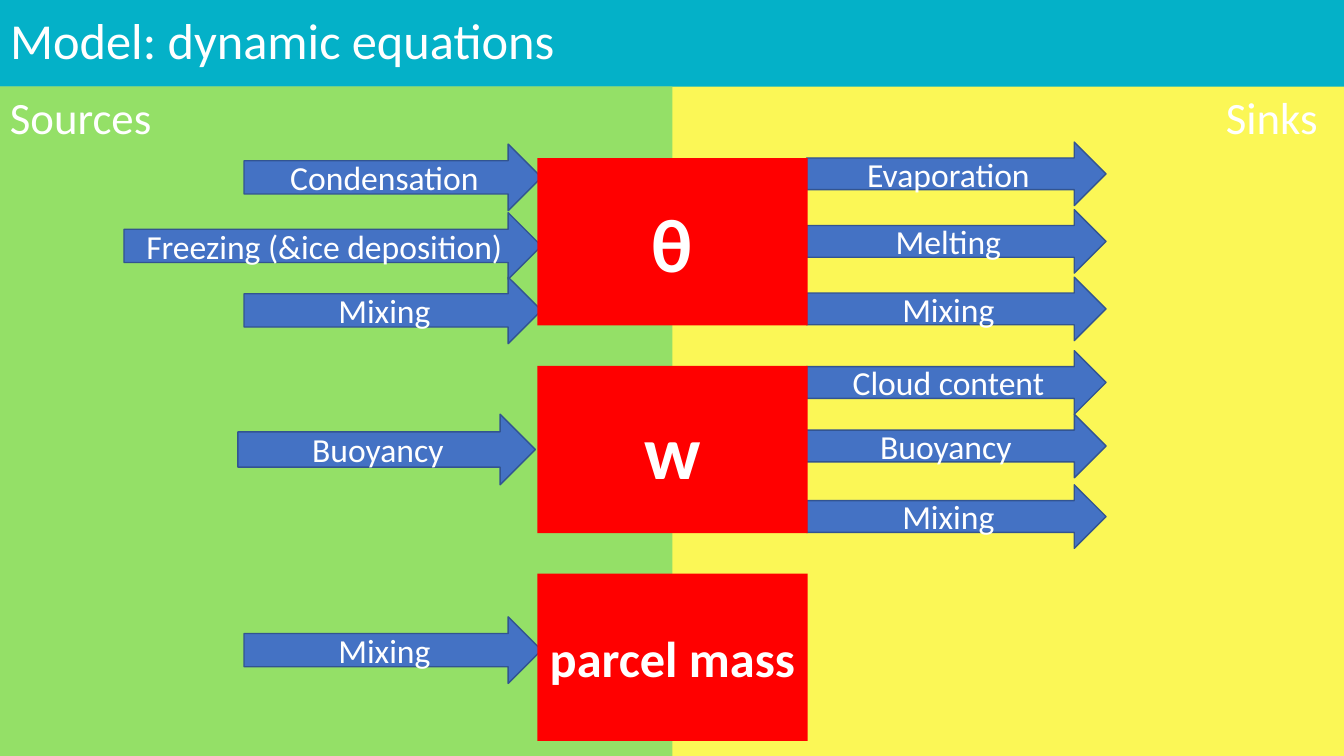
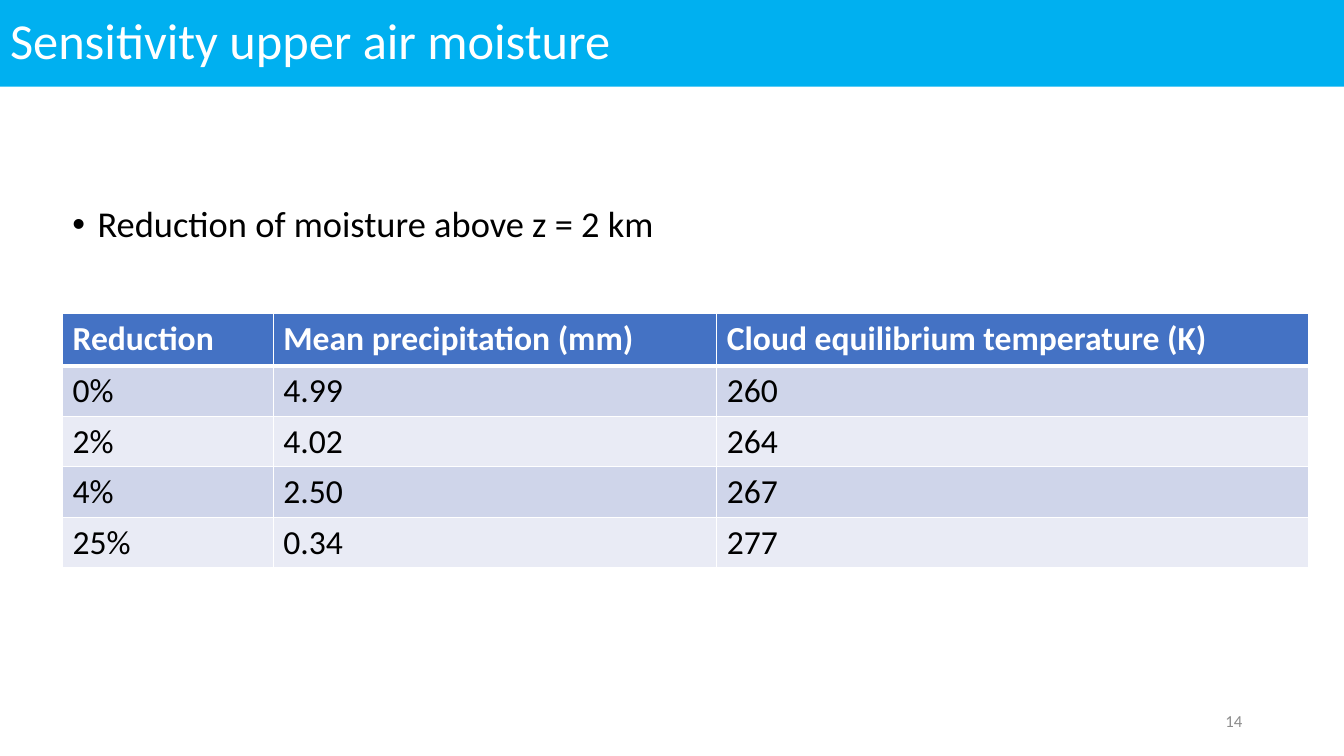
from dataclasses import dataclass

from lxml.etree import SubElement as Sub
from pptx import Presentation
from pptx.dml.color import RGBColor as Rgb
from pptx.enum.shapes import MSO_SHAPE as Form
from pptx.enum.text import MSO_ANCHOR as Anchor, MSO_AUTO_SIZE as Fit, PP_ALIGN as Align
from pptx.oxml.ns import qn
from pptx.util import Pt

PX = 9144  # EMU per px: 100 px to the inch
WIDE, HIGH = 1333, 750
BAR = 86  # height of the title band


@dataclass(frozen=True)
class Theme:
    font: str = "Calibri"
    # Colours
    white: str = "FFFFFF"
    black: str = "000000"
    gray: str = "8C8C8C"
    teal: str = "04B1C8"
    sky: str = "00B0F0"
    green: str = "94E067"
    yellow: str = "FBF756"
    red: str = "FF0000"
    blue: str = "4472C4"
    edge: str = "325491"
    bands: tuple = ("CFD5EA", "E9EBF5")
    # Type sizes
    title: int = 36
    side: int = 32
    label: int = 24
    symbol: int = 54
    bullet: int = 26
    foot: int = 12


class Deck:
    def __init__(self, theme):
        self.theme = theme
        self.file = Presentation()
        self.file.slide_width = WIDE * PX
        self.file.slide_height = HIGH * PX
        self.slide = None

    def box(self, *sides):
        return [side * PX for side in sides]

    def paint(self, thing, color):
        thing.fill.solid()
        thing.fill.fore_color.rgb = Rgb.from_string(color)

    def label(self, frame, text, size, color, align=Align.LEFT, bold=False):
        frame.text = text
        para = frame.paragraphs[0]
        para.alignment = align
        font = para.font
        font.name, font.size, font.bold = self.theme.font, Pt(size), bold
        font.color.rgb = Rgb.from_string(color)
        return para

    def page(self, title, band, back=None):
        """Start a slide with its title band."""
        self.slide = self.file.slides.add_slide(self.file.slide_layouts[5])
        if back:
            self.paint(self.slide.background, back)
        head = self.slide.shapes.title
        head.left, head.top, head.width, head.height = self.box(0, 0, WIDE, BAR)
        self.paint(head, band)
        frame = head.text_frame
        frame.auto_size, frame.vertical_anchor = Fit.NONE, Anchor.MIDDLE
        self.label(frame, title, self.theme.title, self.theme.white).line_spacing = 0.9

    def shape(self, form, spot, fill, edge=None, text="", size=0, bold=False):
        item = self.slide.shapes.add_shape(form, *self.box(*spot))
        item.shadow.inherit = False
        self.paint(item, fill)
        if edge:
            item.line.color.rgb = Rgb.from_string(edge)
            item.line.width = Pt(1)
        else:
            item.line.fill.background()
        if text:
            item.text_frame.vertical_anchor = Anchor.MIDDLE
            self.label(item.text_frame, text, size, self.theme.white, Align.CENTER, bold)

    def arrow(self, text, *spot):
        look = self.theme
        self.shape(Form.RIGHT_ARROW, spot, look.blue, look.edge, text, look.label)

    def text(self, text, spot, size, color, align=Align.LEFT, anchor=Anchor.TOP):
        frame = self.slide.shapes.add_textbox(*self.box(*spot)).text_frame
        frame.word_wrap, frame.vertical_anchor = True, anchor
        return self.label(frame, text, size, color, align)

    def bullet(self, text, spot):
        para = self.text(text, spot, self.theme.bullet, self.theme.black)
        para.line_spacing, para.space_before = 0.9, Pt(10)
        props = para._p.get_or_add_pPr()
        props.set("marL", str(25 * PX))
        props.set("indent", str(-25 * PX))
        # The bullet must come before the paragraph's font
        font = props.find(qn("a:defRPr"))
        for mark in (
            Sub(props, qn("a:buFont"), typeface="Arial"),
            Sub(props, qn("a:buChar"), char="•"),
        ):
            font.addprevious(mark)

    def border(self, cell, **widths):
        props = cell._tc.get_or_add_tcPr()
        for side in "LRTB":
            line = Sub(props, qn(f"a:ln{side}"), w=str(Pt(widths.get(side, 1))))
            Sub(Sub(line, qn("a:solidFill")), qn("a:srgbClr"), val=self.theme.white)

    def table(self, rows, left, top, cols, highs):
        look = self.theme
        spot = self.box(left, top, sum(cols), sum(highs))
        grid = self.slide.shapes.add_table(len(rows), len(cols), *spot).table
        for col, wide in zip(grid.columns, cols):
            col.width = wide * PX
        for row, high in zip(grid.rows, highs):
            row.height = high * PX
        for r, row in enumerate(rows):
            head = r == 0
            fill = look.blue if head else look.bands[(r - 1) % 2]
            color = look.white if head else look.black
            for c, text in enumerate(row):
                cell = grid.cell(r, c)
                self.border(cell, B=3 if head else 1, T=3 if r == 1 else 1)
                self.paint(cell, fill)
                self.label(cell.text_frame, text, look.label, color, bold=head)


def model(deck):
    look = deck.theme
    deck.page("Model: dynamic equations", look.teal, look.yellow)
    deck.shape(Form.RECTANGLE, (0, BAR, 667, HIGH - BAR), look.green)

    # Side headings
    deck.text("Sources", (0, 84, 184, 64), look.side, look.white)
    deck.text("Sinks", (1206, 84, 127, 64), look.side, look.white)

    # Sources: arrows into the boxes
    for text, left, top, wide, high in (
        ("Condensation", 242, 143, 295, 66),
        ("Freezing (&ice deposition)", 123, 211, 414, 66),
        ("Mixing", 242, 275, 295, 66),
        ("Buoyancy", 236, 411, 295, 70),
        ("Mixing", 242, 612, 295, 66),
    ):
        deck.arrow(text, left, top, wide, high)

    # Sinks: arrows out of the boxes, all ending at one edge
    for text, left, top in (
        ("Evaporation", 800, 141),
        ("Melting", 800, 208),
        ("Mixing", 800, 275),
        ("Cloud content", 800, 348),
        ("Buoyancy", 795, 411),
        ("Mixing", 800, 481),
    ):
        deck.arrow(text, left, top, 1097 - left, 63)

    # State variables
    states = (("θ", look.symbol), ("w", look.symbol), ("parcel mass", look.title))
    for i, (text, size) in enumerate(states):
        spot = (533, 157 + 206 * i, 268, 166)
        deck.shape(Form.RECTANGLE, spot, look.red, text=text, size=size, bold=True)


def moisture(deck):
    look = deck.theme
    deck.page("Sensitivity upper air moisture", look.sky)
    deck.bullet("Reduction of moisture above z = 2 km", (62, 200, 676, 476))

    # Results
    rows = (
        ("Reduction", "Mean precipitation (mm)", "Cloud equilibrium temperature (K)"),
        ("0%", "4.99", "260"),
        ("2%", "4.02", "264"),
        ("4%", "2.50", "267"),
        ("25%", "0.34", "277"),
    )
    deck.table(rows, 62, 311, (209, 440, 587), (52, 48, 48, 48, 48))

    # Page number
    deck.text("14", (942, 695, 300, 40), look.foot, look.gray, Align.RIGHT, Anchor.MIDDLE)


def main():
    deck = Deck(Theme())
    model(deck)
    moisture(deck)
    deck.file.save("out.pptx")


if __name__ == "__main__":
    main()
